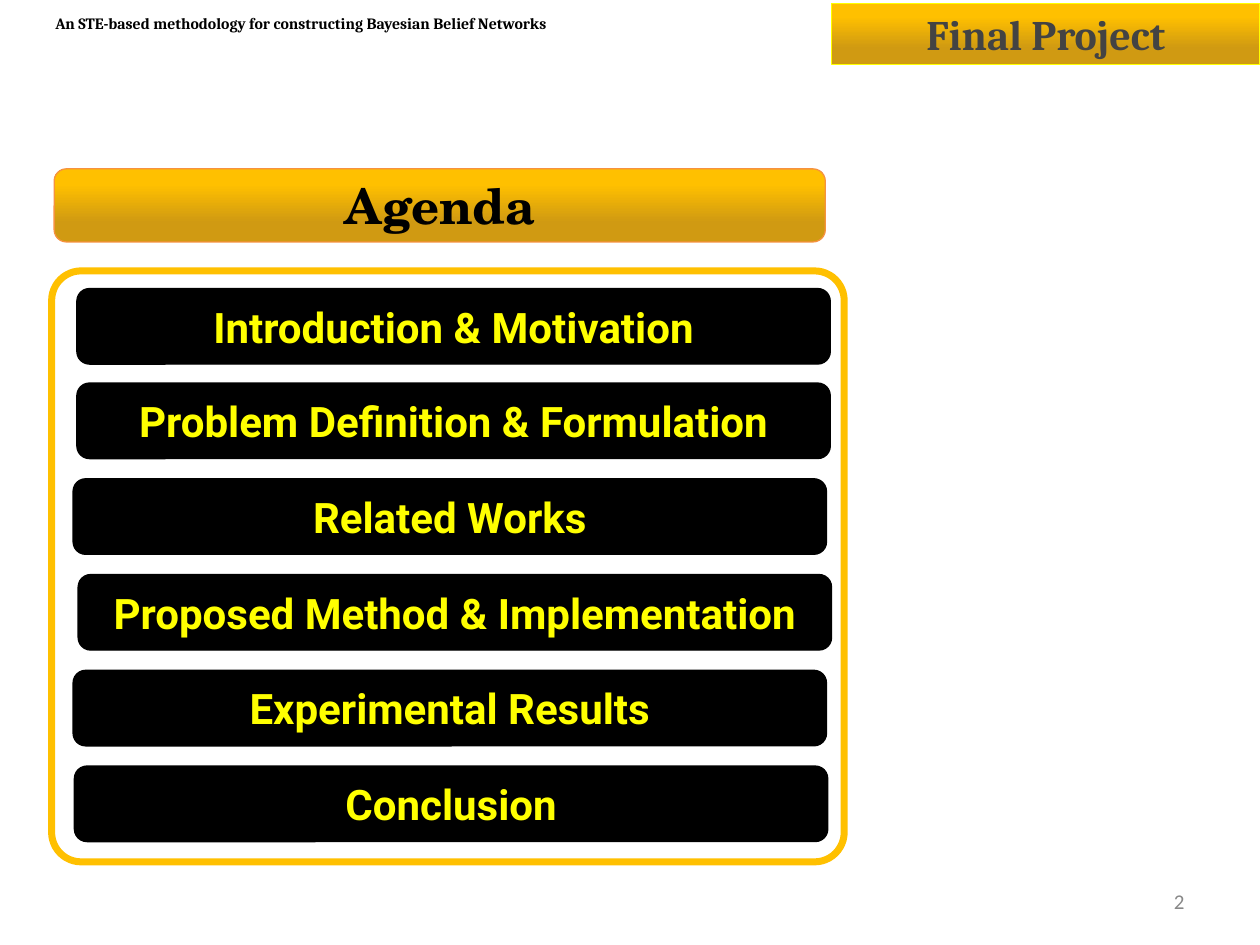
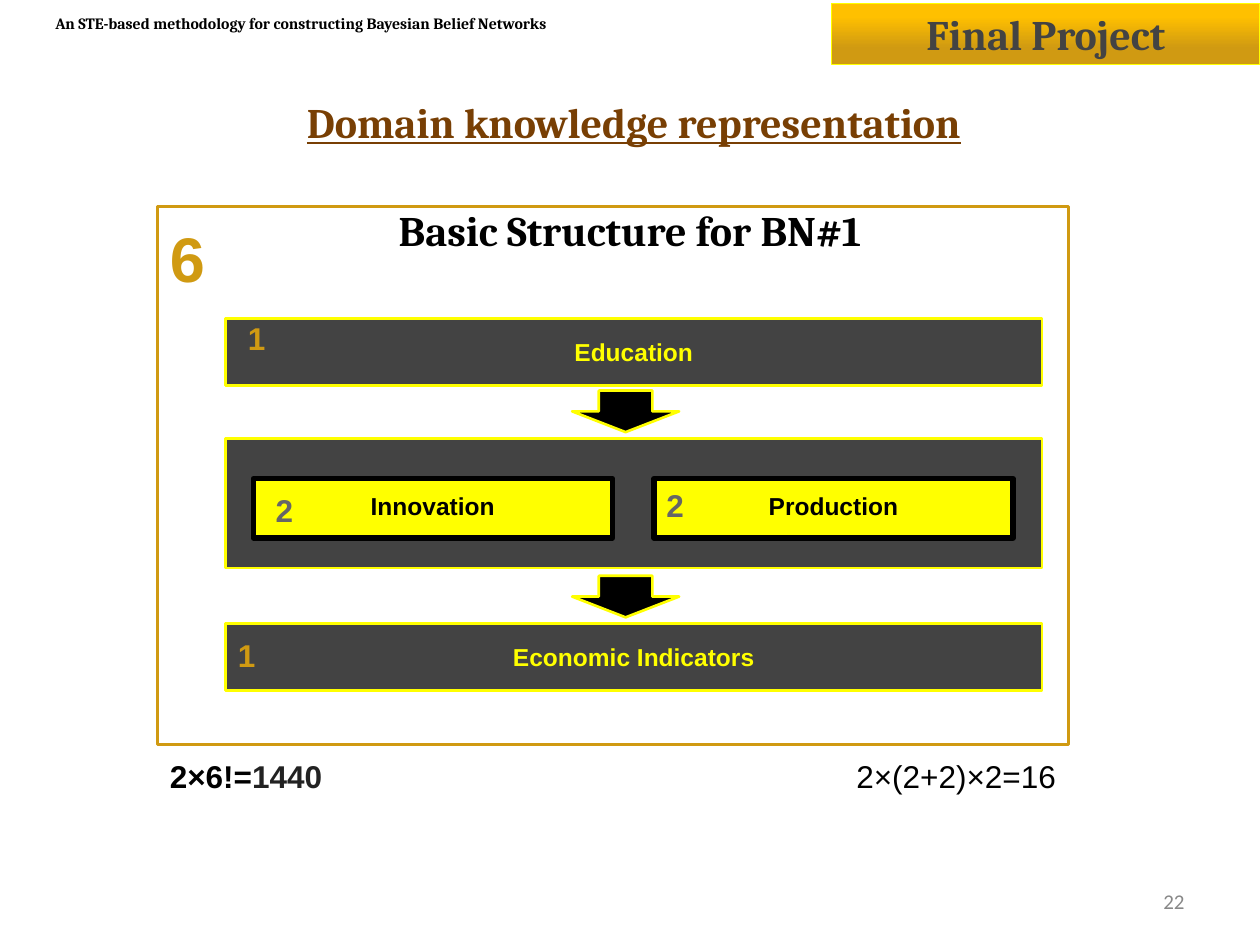
"""Builds the agenda and domain knowledge slides of the final project deck."""
from pptx import Presentation
from pptx.dml.color import RGBColor
from pptx.enum.shapes import MSO_SHAPE
from pptx.enum.text import MSO_ANCHOR, MSO_AUTO_SIZE, PP_ALIGN
from pptx.util import Pt

PX = 9144
RECT, ROUND, DOWN = MSO_SHAPE.RECTANGLE, MSO_SHAPE.ROUNDED_RECTANGLE, MSO_SHAPE.DOWN_ARROW
LEFT, CENTER, RIGHT = PP_ALIGN.LEFT, PP_ALIGN.CENTER, PP_ALIGN.RIGHT
TOP, MIDDLE = MSO_ANCHOR.TOP, MSO_ANCHOR.MIDDLE
TITLE_ONLY, BLANK = 5, 6

BLACK, YELLOW, DARK, GRAY = "000000", "FFFF00", "434343", "666666"
GOLD, AMBER, BROWN = "D09A12", "FFC000", "783F04"
GRADIENT = ((0.27, GOLD), (0.79, AMBER))


def rgb(color):
    return RGBColor.from_string(color)


def emu(box):
    return [v * PX for v in box]


class Deck:
    def __init__(self):
        self.prs = Presentation()
        self.prs.slide_width, self.prs.slide_height = emu((1000, 750))
        self.s = None

    def slide(self, number, layout=BLANK):
        self.s = self.prs.slides.add_slide(self.prs.slide_layouts[layout])
        self.text((34, 7, 612, 22), "An STE-based methodology for constructing Bayesian Belief Networks",
                  9, "Cambria", BLACK, anchor=MIDDLE)
        sp = self.shape(ROUND, (660, 3, 340, 48), GRADIENT, YELLOW, 0.75, adj=0)
        self.label(sp, "Final Project", 24, "Cambria", DARK, inset=5)
        self.text((717, 695, 233, 40), number, 12, "Calibri", "888888",
                  bold=False, align=RIGHT, anchor=MIDDLE, inset=5)

    def label(self, sp, text, size, font, color, bold=True, align=CENTER, anchor=MIDDLE, inset=10):
        tf = sp.text_frame
        tf.word_wrap = True
        tf.auto_size = MSO_AUTO_SIZE.NONE
        tf.vertical_anchor = anchor
        tf.margin_left = tf.margin_right = 10 * PX
        tf.margin_top = tf.margin_bottom = inset * PX
        p = tf.paragraphs[0]
        p.text = text
        p.alignment = align
        p.font.size, p.font.name, p.font.bold = Pt(size), font, bold
        p.font.color.rgb = rgb(color)
        return p

    def text(self, box, text, size, font, color, bold=True, align=LEFT, anchor=TOP, inset=10):
        sp = self.s.shapes.add_textbox(*emu(box))
        return self.label(sp, text, size, font, color, bold, align, anchor, inset)

    def title(self, box, text):
        sp = self.s.shapes.title
        sp.left, sp.top, sp.width, sp.height = emu(box)
        self.label(sp, text, 24, "Cambria", BROWN).font.underline = True

    def shape(self, kind, box, fill, line, width, adj=None):
        sp = self.s.shapes.add_shape(kind, *emu(box))
        sp.shadow.inherit = False
        if adj is not None:
            sp.adjustments[0] = adj
        if fill is None:
            sp.fill.background()
        elif fill is GRADIENT:
            sp.fill.gradient()
            sp.fill.gradient_angle = 90
            for stop, (position, color) in zip(sp.fill.gradient_stops, fill):
                stop.position = position
                stop.color.rgb = rgb(color)
        else:
            sp.fill.solid()
            sp.fill.fore_color.rgb = rgb(fill)
        sp.line.color.rgb = rgb(line)
        sp.line.width = Pt(width)
        return sp


def agenda(deck):
    deck.slide("2")
    deck.shape(ROUND, (41, 215, 629, 469), None, AMBER, 4, adj=0.05)
    sp = deck.shape(ROUND, (43, 134, 612, 58), GRADIENT, "F6923F", 0.75)
    deck.label(sp, "Agenda", 28, "TeX Gyre Schola", BLACK, inset=5)
    topics = ((61, "Introduction & Motivation"), (61, "Problem Definition & Formulation"),
              (58, "Related Works"), (62, "Proposed Method & Implementation"),
              (58, "Experimental Results"), (59, "Conclusion"))
    for i, (x, topic) in enumerate(topics):
        sp = deck.shape(ROUND, (x, 229 + i * 379 // 5, 598, 60), BLACK, BLACK, 0.75)
        deck.label(sp, topic, 24, "Roboto", YELLOW, inset=5)


def domain_knowledge(deck):
    deck.slide("22", TITLE_ONLY)
    deck.title((9, 70, 988, 53), "Domain knowledge representation")
    frame = deck.shape(RECT, (125, 164, 723, 427), None, GOLD, 1.5)
    deck.label(frame, "6", 36, "Arial", GOLD, align=LEFT, anchor=TOP)
    deck.text((235, 149, 530, 66), "Basic Structure for BN#1", 24, "Cambria", BLACK,
              align=CENTER, anchor=MIDDLE)

    for y, h, stage in ((253, 53, "Education"), (348, 103, ""), (495, 53, "Economic Indicators")):
        sp = deck.shape(RECT, (179, y, 648, h), DARK, YELLOW, 1.5)
        if stage:
            deck.label(sp, stage, 14, "Arial", YELLOW)
    for y in (310, 457):
        deck.shape(DOWN, (454, y, 85, 33), BLACK, YELLOW, 1.5)
    for x, part in ((201, "Innovation"), (519, "Production")):
        sp = deck.shape(RECT, (x, 380, 285, 47), YELLOW, BLACK, 3)
        deck.label(sp, part, 14, "Arial", BLACK, anchor=TOP)
    for x, y, count, color in ((187, 243, "1", GOLD), (209, 380, "2", GRAY),
                               (519, 376, "2", GRAY), (179, 495, "1", GOLD)):
        deck.text((x, y, 90, 53), count, 18, "Arial", color)

    p = deck.text((125, 591, 360, 47), "2×6!=", 18, "Arial", BLACK)
    r = p.add_run()
    r.text = "1440"
    r.font.color.rgb = rgb("222222")
    deck.text((485, 591, 363, 47), "2×(2+2)×2=16", 18, "Arial", BLACK, bold=False, align=RIGHT)


def main():
    deck = Deck()
    agenda(deck)
    domain_knowledge(deck)
    deck.prs.save("out.pptx")


if __name__ == "__main__":
    main()
